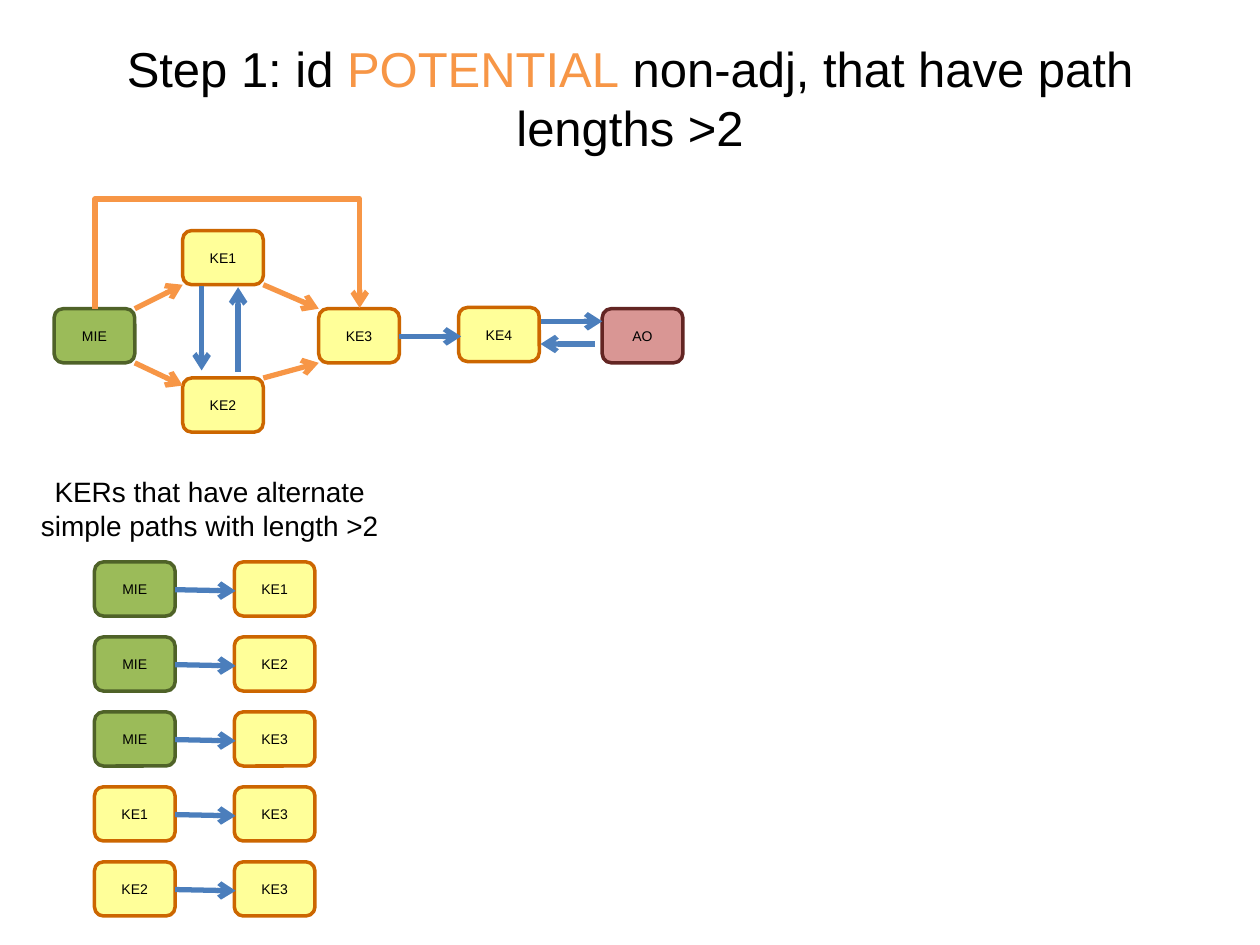
import pptx
import pptx.util
import pptx.dml.color
import pptx.enum.shapes
import pptx.enum.text
import pptx.oxml
import pptx.oxml.ns
from lxml import etree
from dataclasses import dataclass

In, Pt = pptx.util.Inches, pptx.util.Pt
RGB = pptx.dml.color.RGBColor.from_string
KIND = pptx.enum.shapes.MSO_CONNECTOR
qn = pptx.oxml.ns.qn


@dataclass
class Theme:
    font: str = "Arial"
    title: int = 28
    caption: int = 16
    label: int = 8
    text: str = "000000"
    orange: str = "F79646"
    blue: str = "4B7EBC"
    pale_blue: str = "4F81BD"
    start: tuple = ("9BBB59", "4F6228")
    event: tuple = ("FFFF99", "CC6600")
    outcome: tuple = ("D99694", "632523")
    box_line: int = 2
    arrow_line: int = 3


th = Theme()
BOX_W, BOX_H = 0.64, 0.43
STYLES = {"MIE": th.start, "AO": th.outcome}


def write(sp, runs, size):
    """Fill a shape with one centred paragraph of (text, colour) runs."""
    tf = sp.text_frame
    tf.word_wrap = True
    tf.vertical_anchor = pptx.enum.text.MSO_ANCHOR.MIDDLE
    p = tf.paragraphs[0]
    p.alignment = pptx.enum.text.PP_ALIGN.CENTER
    for text, color in runs:
        r = p.add_run()
        r.text = text
        r.font.name, r.font.size = th.font, Pt(size)
        r.font.color.rgb = RGB(color)


def draw(shapes, name=None, at=None, line=None, color=th.blue, kind=KIND.STRAIGHT):
    """Add a named box at (left, top), or an arrow along (x1, y1, x2, y2)."""
    if name:
        sp = shapes.add_shape(pptx.enum.shapes.MSO_SHAPE.ROUNDED_RECTANGLE,
                              In(at[0]), In(at[1]), In(BOX_W), In(BOX_H))
        fill, edge = STYLES.get(name, th.event)
        sp.shadow.inherit = False
        sp.fill.solid()
        sp.fill.fore_color.rgb = RGB(fill)
        sp.line.color.rgb, sp.line.width = RGB(edge), Pt(th.box_line)
        write(sp, [(name, th.text)], th.label)
        return sp
    cx = shapes.add_connector(kind, *[In(v) for v in line])
    cx.line.color.rgb, cx.line.width = RGB(color), Pt(th.arrow_line)
    etree.SubElement(cx.line._get_or_add_ln(), qn("a:tailEnd"), type="arrow")
    etree.SubElement(cx._element.spPr, qn("a:effectLst"))
    return cx


prs = pptx.Presentation()
prs.slide_width, prs.slide_height = In(10), In(7.5)
s = prs.slides.add_slide(prs.slide_layouts[5])

title = s.shapes.title
title.left, title.top, title.width, title.height = In(0.5), In(0.3), In(9), In(0.95)
write(title, [("Step 1: id ", th.text), ("POTENTIAL", th.orange),
              (" non-adj, that have path lengths >2", th.text)], th.title)

# Pathway network
nodes = {"MIE": (0.43, 2.45), "KE1": (1.45, 1.83), "KE2": (1.45, 3),
         "KE3": (2.53, 2.45), "KE4": (3.64, 2.44), "AO": (4.78, 2.45)}
for name, at in nodes.items():
    draw(s.shapes, name, at)

arrows = [
    (th.orange, (1.07, 2.45, 1.45, 2.26)),
    (th.orange, (1.07, 2.88, 1.45, 3.06)),
    (th.orange, (2.09, 2.26, 2.53, 2.45)),
    (th.orange, (2.09, 3, 2.53, 2.88)),
    (th.blue, (1.6, 2.27, 1.6, 2.94)),
    (th.blue, (1.89, 2.95, 1.89, 2.28)),
    (th.blue, (3.17, 2.67, 3.66, 2.67)),
    (th.blue, (4.29, 2.55, 4.78, 2.55)),
    (th.pale_blue, (4.72, 2.73, 4.29, 2.73)),
]
for color, line in arrows:
    draw(s.shapes, line=line, color=color)

# Bypass from MIE over KE1 to KE3: a quarter-turned elbow that rises 0.89 in
rise, step = 0.89, 0.01
bypass = draw(s.shapes, line=(1.81, 3.5, 1.81 - step, 1.4),
              color=th.orange, kind=KIND.ELBOW)
spPr = bypass._element.spPr
spPr.find(qn("a:xfrm")).set("rot", str(90 * 60000))
etree.SubElement(spPr.find(qn("a:prstGeom")).find(qn("a:avLst")), qn("a:gd"),
                 name="adj1", fmla=f"val {round(rise / step * 100000)}")

# List of relationships
caption = s.shapes.add_textbox(In(0.16), In(3.56), In(3.01), In(0.95))
write(caption, [("KERs that have alternate simple paths with length >2", th.text)],
      th.caption)

pairs = [("MIE", "KE1"), ("MIE", "KE2"), ("MIE", "KE3"), ("KE1", "KE3"), ("KE2", "KE3")]
LEFT, RIGHT, TOP, PITCH = 0.75, 1.86, 4.46, 0.595
for i, (source, target) in enumerate(pairs):
    y = TOP + i * PITCH
    row = s.shapes.add_group_shape().shapes
    draw(row, source, (LEFT, y))
    draw(row, target, (RIGHT, y))
    draw(row, line=(LEFT + BOX_W, y + 0.22, RIGHT + 0.01, y + 0.23))

prs.save("out.pptx")
